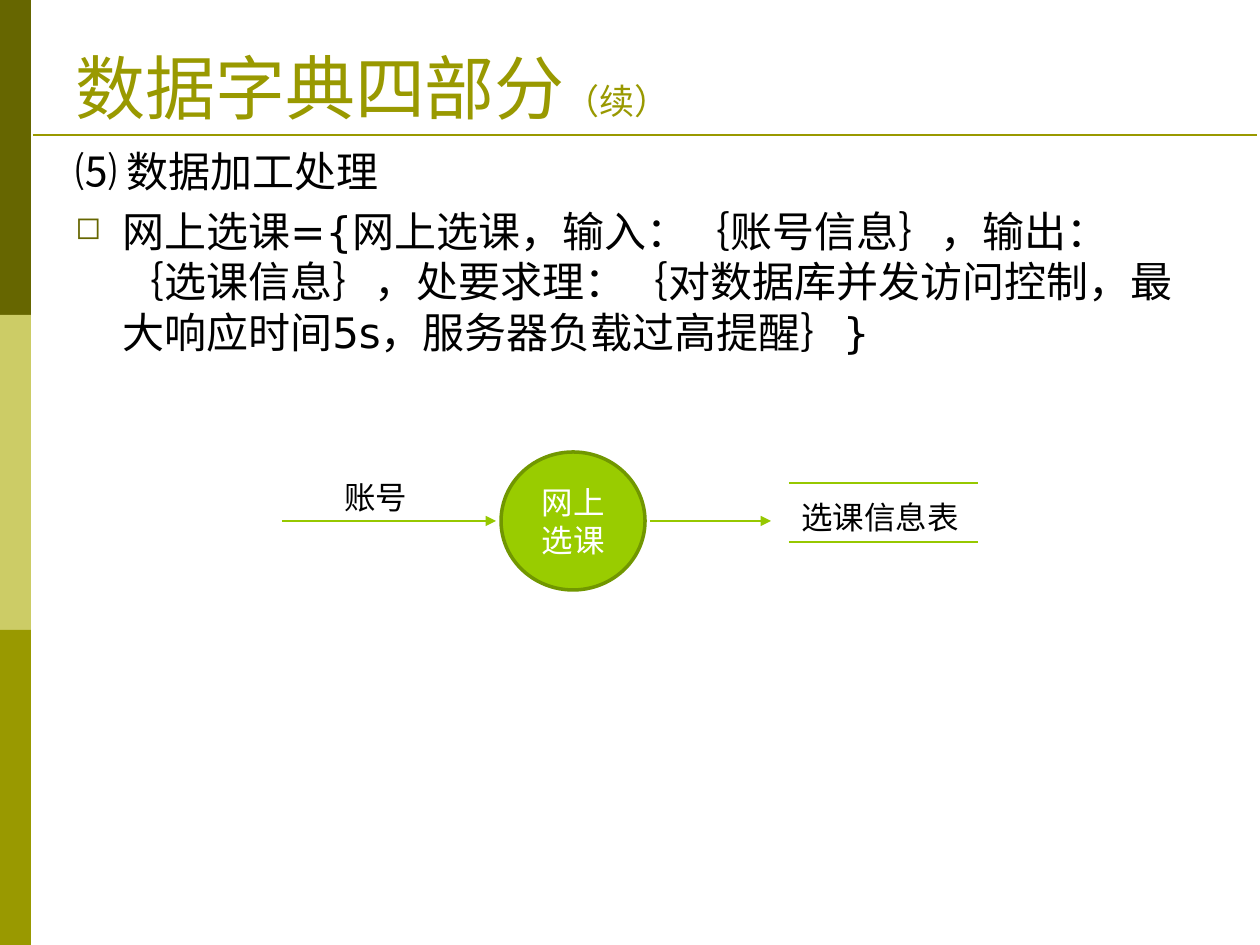
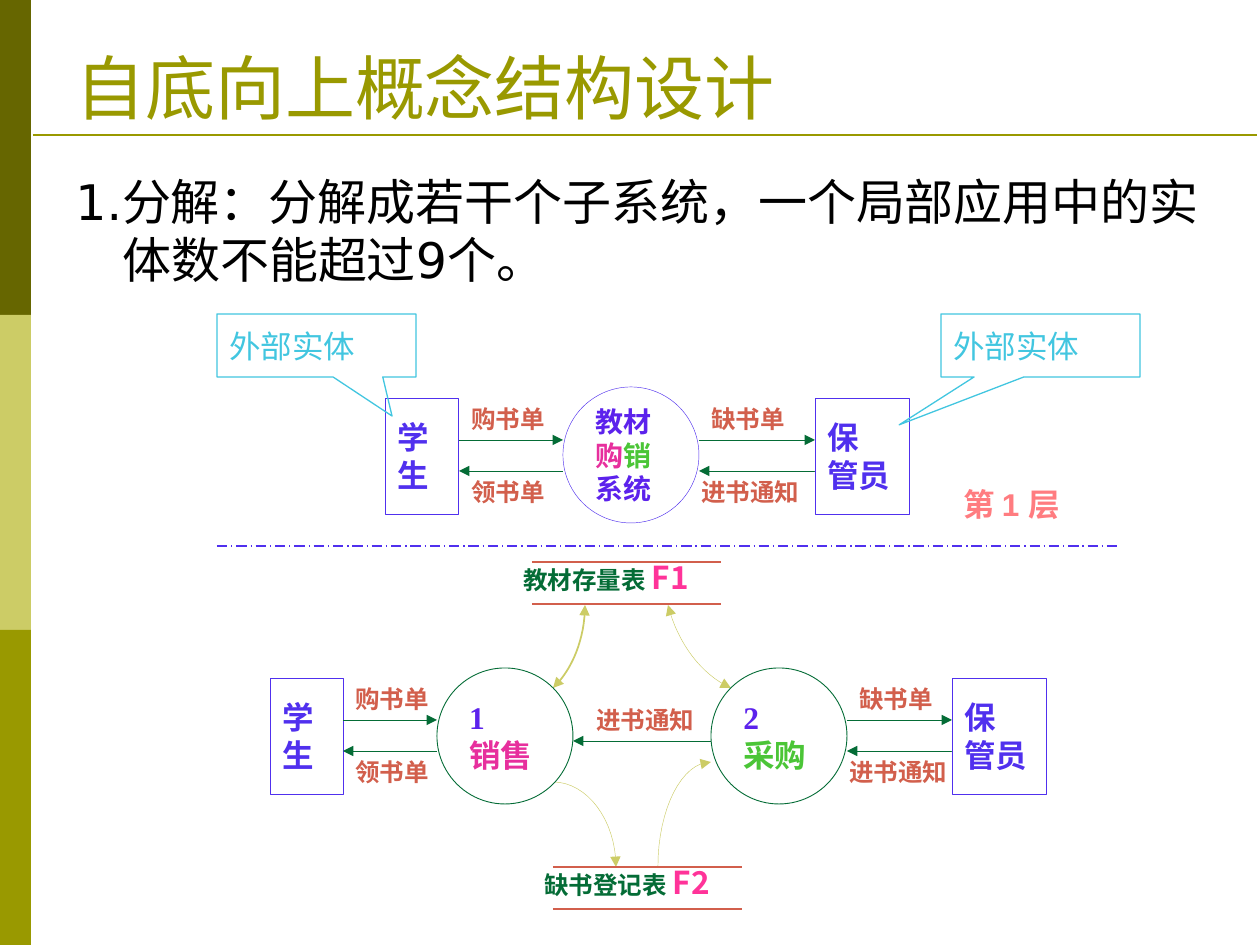
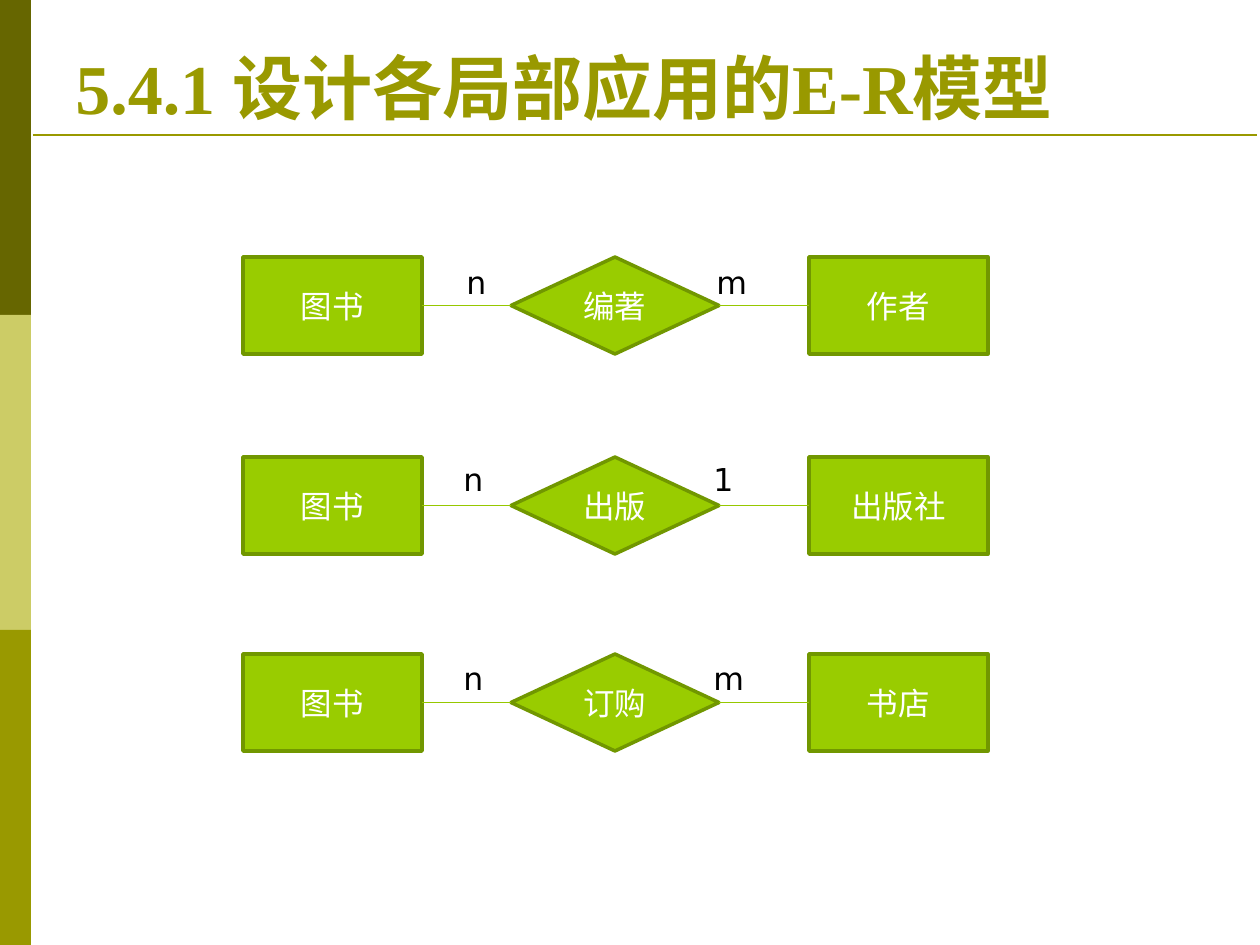
from lxml.etree import SubElement
from pptx import Presentation
from pptx.dml.color import RGBColor
from pptx.enum.dml import MSO_LINE
from pptx.enum.shapes import MSO_CONNECTOR, MSO_SHAPE as Kind
from pptx.enum.text import MSO_ANCHOR as Anchor, PP_ALIGN as Align
from pptx.oxml import parse_xml
from pptx.oxml.ns import nsdecls, qn
from pptx.util import Emu, Pt

SCALE = 914400 / 126
WIDE, HIGH = 1260, 945
TIMES, SANS, CJK = "Times New Roman", "DejaVu Sans", "Noto Sans CJK SC"
OLIVE, DARK, PALE = "999900", "666600", "CCCC66"
BLACK, WHITE = "000000", "FFFFFF"
LIME, MOSS, LEAF = "99CC00", "719700", "96C800"
BLUE, VIOLET, PINK, GREEN = "5030EE", "5C22EC", "E72F9D", "4BC537"
PINE, BRICK, SKY, ROSE, CORAL = "046C36", "D25F4C", "42C6E0", "FF3399", "FF7C80"
BALL, CARD = 136, 116


def px(n):
    return Emu(round(n * SCALE))


def rgb(code):
    return RGBColor.from_string(code)


def style(font, size=None, color=None, face=None, bold=None):
    if size:
        font.size = Pt(size)
    if bold is not None:
        font.bold = bold
    if color:
        font.color.rgb = rgb(color)
    if face:
        font.name = face
        SubElement(font._element, qn("a:ea")).set("typeface", CJK)


def write(shape, paras, anchor=Anchor.TOP, align=Align.LEFT, wrap=True, **look):
    """Fill a shape with paragraphs: each a string or a list of (text, look) runs."""
    frame = shape.text_frame
    frame.word_wrap = wrap
    frame.vertical_anchor = anchor
    for i, runs in enumerate(paras):
        para = frame.paragraphs[0] if i == 0 else frame.add_paragraph()
        para.alignment = align
        style(para.font, **look)
        for words, extra in [(runs, {})] if isinstance(runs, str) else runs:
            run = para.add_run()
            run.text = words
            style(run.font, **extra)
    return frame.paragraphs


def text(s, box, paras, **look):
    return write(s.shapes.add_textbox(*map(px, box)), paras, **look)


def paint(shape, fill=None, edge=None, weight=1):
    shape.shadow.inherit = False
    if fill:
        shape.fill.solid()
        shape.fill.fore_color.rgb = rgb(fill)
    else:
        shape.fill.background()
    if edge:
        shape.line.color.rgb = rgb(edge)
        shape.line.width = Pt(weight)
    else:
        shape.line.fill.background()


def draw(s, kind, box, fill=None, edge=None, weight=1):
    shape = s.shapes.add_shape(kind, *map(px, box))
    paint(shape, fill, edge, weight)
    return shape


def tips(shape, head, tail):
    ln = shape._element.spPr.find(qn("a:ln"))
    for name, on in (("a:headEnd", head), ("a:tailEnd", tail)):
        if on:
            SubElement(ln, qn(name)).set("type", "triangle")


def rule(s, start, end, color, weight=0.75, head=False, tail=False, dash=None):
    link = s.shapes.add_connector(MSO_CONNECTOR.STRAIGHT, *map(px, (*start, *end)))
    link.line.color.rgb = rgb(color)
    link.line.width = Pt(weight)
    if dash:
        link.line.dash_style = dash
    tips(link, head, tail)
    SubElement(link._element.spPr, qn("a:effectLst"))
    return link


def curve(s, x, y, knots, weight=0.25, head=False, tail=False, steps=16):
    """Draw the cubic curve given by four knots relative to x, y."""
    spots = []
    for i in range(steps + 1):
        t = i / steps
        parts = ((1 - t) ** 3, 3 * t * (1 - t) ** 2, 3 * t * t * (1 - t), t ** 3)
        spots.append((px(x + sum(p * k[0] for p, k in zip(parts, knots))),
                      px(y + sum(p * k[1] for p, k in zip(parts, knots)))))
    pen = s.shapes.build_freeform(*spots[0])
    pen.add_line_segments(spots[1:], close=False)
    shape = pen.convert_to_shape()
    paint(shape, None, PALE, weight)
    tips(shape, head, tail)


def base(deck, title, bold=False):
    """Add a slide with the side bands, the title and its rule."""
    s = deck.slides.add_slide(deck.slide_layouts[6])
    band = HIGH // 3
    for i, color in enumerate((DARK, PALE, OLIVE)):
        draw(s, Kind.RECTANGLE, (0, i * band, 31, band), color)
    rule(s, (33, 135), (1257, 135), OLIVE, 1.5)
    text(s, (63, 38, 1134, 97), [title], anchor=Anchor.BOTTOM,
         size=40, color=OLIVE, face=TIMES, bold=bold)
    return s


def body(s, box, paras, size):
    lines = text(s, box, paras, size=size, color=BLACK, face=SANS)
    for para in lines:
        para.space_before = Pt(round(size * 0.2))
        props = para._p.get_or_add_pPr()
        props.set("marL", str(px(47)))
        props.set("indent", str(px(-47)))
    return lines


def bullet(para):
    mark = para._p.pPr.find(qn("a:defRPr"))
    for tag in (f'<a:buClr {nsdecls("a")}><a:srgbClr val="{DARK}"/></a:buClr>',
                f'<a:buSzPct {nsdecls("a")} val="75000"/>',
                f'<a:buChar {nsdecls("a")} char="◻"/>'):
        mark.addprevious(parse_xml(tag))


def bars(s, x, y, high, color):
    for top in (y, y + high):
        rule(s, (x, top), (x + 189, top), color)


def lime(s, kind, box, words):
    shape = draw(s, kind, box, LIME, MOSS, 2)
    write(shape, [words], anchor=Anchor.MIDDLE, align=Align.CENTER,
          size=18, color=WHITE, face=SANS)
    return shape


def process(s, x, y):
    look = dict(size=18, color=BLACK, face=SANS, wrap=False)
    mid = y + 69
    lime(s, Kind.OVAL, (x + 219, y, 144, 138), "网上选课")
    rule(s, (x + 368, mid), (x + 489, mid), LEAF, tail=True)
    rule(s, (x, mid), (x + 214, mid), LEAF, tail=True)
    text(s, (x + 50, y + 20, 90, 50), ["账号"], **look)
    bars(s, x + 507, y + 31, 59, LEAF)
    text(s, (x + 507, y + 40, 189, 50), ["选课信息表"], **look)


def card(s, x, y, wide, lines):
    shape = draw(s, Kind.RECTANGLE, (x, y, wide, CARD), WHITE, BLUE, 0.25)
    write(shape, lines, anchor=Anchor.MIDDLE, wrap=False,
          size=18, color=BLUE, face=TIMES, bold=True)


def pupil(s, x, y):
    card(s, x, y, 73, ["学", "生"])


def keeper(s, x, y):
    card(s, x, y, 94, ["保", "管员"])


def ball(s, x, y, lines, size, edge, weight):
    shape = draw(s, Kind.OVAL, (x, y, BALL, BALL), WHITE, edge, weight)
    write(shape, lines, anchor=Anchor.MIDDLE, wrap=False,
          size=size, color=VIOLET, face=TIMES, bold=True)


def label(s, x, y, words):
    """Write an arrow label in a box just wide enough for one line."""
    text(s, (x, y, 28 + 25 * len(words), 42), [words], wrap=False,
         size=14, color=BRICK, face=CJK, bold=True)


def trade(s, x, y, wide, out, back):
    """Draw a labelled arrow to the right above a labelled one to the left."""
    for words, line, top, right in ((out, 42, 0, True), (back, 73, 73, False)):
        rule(s, (x, y + line), (x + wide, y + line), PINE, 0.25,
             head=not right, tail=right)
        label(s, x - (10 if len(words) > 3 else 0), y + top, words)


def store(s, x, y, name, code):
    bars(s, x, y, 42, BRICK)
    text(s, (x - 21, y - 10, 231, 50),
         [[(name + " ", {}), (code, dict(size=18, color=ROSE))]],
         size=14, color=PINE, face=CJK, bold=True)


def level_one(s, x, y):
    pupil(s, x, y + 11)
    trade(s, x + 74, y + 11, 104, "购书单", "领书单")
    names = ["教材", [("购", dict(color=PINK)), ("销", dict(color=GREEN))], "系统"]
    ball(s, x + 178, y, names, 16, BLUE, 0.25)
    trade(s, x + 314, y + 11, 116, "缺书单", "进书通知")
    keeper(s, x + 430, y + 11)
    text(s, (x + 566, y + 85, 150, 63),
         [[("第 ", {}), ("1 ", dict(face="Arial")), ("层", {})]],
         anchor=Anchor.MIDDLE, wrap=False,
         size=18, color=CORAL, face=CJK, bold=True)


def level_two(s, x, y):
    rule(s, (x + 303, y + 73), (x + 441, y + 73), PINE, 0.25, head=True)
    label(s, x + 314, y + 31, "进书通知")
    curve(s, x, y, ((283, 114), (317, 114), (346, 152), (346, 199)), tail=True)
    curve(s, x, y, ((441, 94), (412, 94), (388, 141), (388, 199)), head=True)
    curve(s, x, y, ((283, 20), (302, 2), (315, -29), (315, -63)), 1, True, True)
    curve(s, x, y, ((461, 20), (432, 7), (408, -24), (398, -63)), 0.25, True, True)
    pupil(s, x, y + 10)
    trade(s, x + 73, y + 10, 94, "购书单", "领书单")
    for left, mark, job, color in ((167, "1", "销售", PINK), (441, "2", "采购", GREEN)):
        ball(s, x + left, y, [mark, [(job, dict(color=color))]], 18, PINE, 0.5)
    trade(s, x + 577, y + 10, 105, "缺书单", "进书通知")
    keeper(s, x + 682, y + 10)
    store(s, x + 262, y - 106, "教材存量表", "F1")
    store(s, x + 283, y + 199, "缺书登记表", "F2")


def note(s, x, y, aim):
    shape = draw(s, Kind.RECTANGULAR_CALLOUT, (x, y, 199, 63), None, SKY, 0.75)
    shape.adjustments[0], shape.adjustments[1] = aim
    write(shape, ["外部实体"], anchor=Anchor.MIDDLE, size=18, color=SKY, face=TIMES)


def relate(s, x, y, names, marks, shift):
    """Draw entity, relation, entity; shift moves the two end marks."""
    left, verb, right = names
    high = 97
    knot = lime(s, Kind.FLOWCHART_DECISION, (x + 268, y, 208, high), verb)
    first, last = (lime(s, Kind.FLOWCHART_PROCESS, (x + dx, y, 179, high), words)
                   for dx, words in ((0, left), (566, right)))
    for a, b in ((first, knot), (knot, last)):
        link = rule(s, (x, y), (x, y), LEAF)
        link.begin_connect(a, 3)
        link.end_connect(b, 1)
    dx, dy = shift
    for place, mark in zip((211, 461), marks):
        text(s, (x + place + dx, y + dy, 60, 50), [mark], wrap=False,
             size=18, color=BLACK, face=SANS)


def dictionary(deck):
    s = base(deck, [("数据字典四部分", {}), ("（续）", dict(size=20))])
    head, item = body(s, (63, 145, 1134, 563), [
        "⑸ 数据加工处理",
        "网上选课={网上选课，输入：｛账号信息｝，输出：｛选课信息｝，"
        "处要求理：｛对数据库并发访问控制，最大响应时间5s，服务器负载过高提醒｝}"], 24)
    head.line_spacing = 0.9
    bullet(item)
    process(s, 282, 452)


def concept(deck):
    s = base(deck, "自底向上概念结构设计")
    body(s, (63, 165, 1163, 149),
         ["1.分解：分解成若干个子系统，一个局部应用中的实体数不能超过9个。"], 28)
    level_one(s, 385, 387)
    rule(s, (217, 546), (1120, 546), BLUE, dash=MSO_LINE.LONG_DASH_DOT)
    level_two(s, 270, 668)
    note(s, 217, 314, (0.38, 1.12))
    note(s, 941, 314, (-0.71, 1.26))


def model(deck):
    s = base(deck, "5.4.1 设计各局部应用的E-R模型", bold=True)
    for y, verb, right, mark, shift in ((257, "编著", "作者", "m", (0, 0)),
                                        (457, "出版", "出版社", "1", (-3, -3)),
                                        (654, "订购", "书店", "m", (-3, -1))):
        relate(s, 243, y, ("图书", verb, right), ("n", mark), shift)


def main():
    deck = Presentation()
    deck.slide_width, deck.slide_height = px(WIDE), px(HIGH)
    for build in (dictionary, concept, model):
        build(deck)
    deck.save("out.pptx")


if __name__ == "__main__":
    main()
